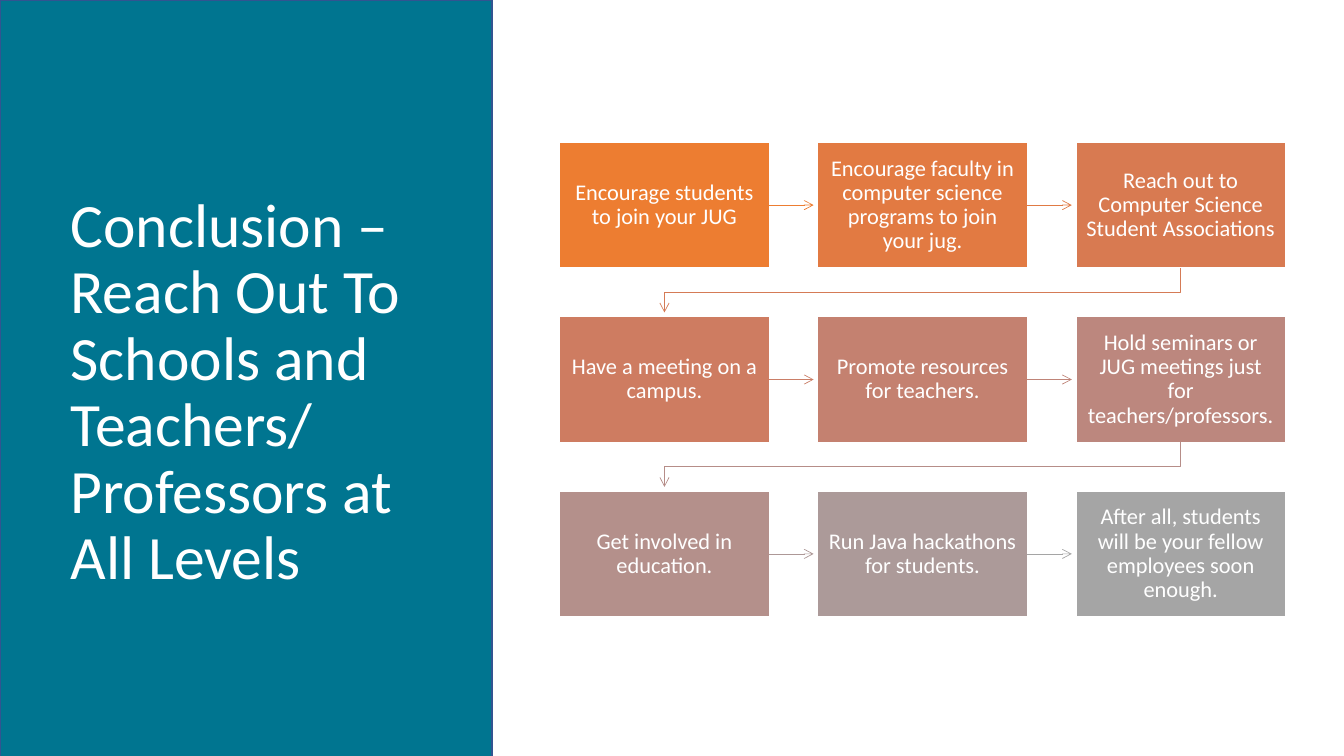
from lxml.etree import SubElement
from pptx import Presentation
from pptx.dml.color import RGBColor
from pptx.enum.shapes import MSO_CONNECTOR as Connector, MSO_SHAPE as Shape
from pptx.enum.text import MSO_ANCHOR as Anchor, MSO_AUTO_SIZE as AutoSize, PP_ALIGN as Align
from pptx.oxml.ns import qn
from pptx.util import Pt

EMU_PER_PX = 9144  # 100 px to the inch


def px(length):
    return length * EMU_PER_PX


def color(hex_string):
    return RGBColor.from_string(hex_string)


def write(frame, text, size, font="Calibri", ink="FFFFFF", align=Align.LEFT, insets=(10, 5)):
    frame.word_wrap = True
    frame.auto_size = AutoSize.NONE
    frame.vertical_anchor = Anchor.MIDDLE
    frame.margin_left = frame.margin_right = px(insets[0])
    frame.margin_top = frame.margin_bottom = px(insets[1])
    paragraph = frame.paragraphs[0]
    paragraph.alignment = align
    paragraph.line_spacing = 0.9
    run = paragraph.add_run()
    run.text = text
    run.font.size = Pt(size)
    run.font.name = font
    run.font.color.rgb = color(ink)


class SlideBuilder:
    arrow_width = Pt(0.5)
    border_width = Pt(1)

    def __init__(self, slide):
        self.slide = slide
        self.shapes = slide.shapes

    def rectangle(self, left, top, width, height, fill, border):
        shape = self.shapes.add_shape(Shape.RECTANGLE, px(left), px(top), px(width), px(height))
        shape.shadow.inherit = False
        shape.fill.solid()
        shape.fill.fore_color.rgb = color(fill)
        shape.line.color.rgb = color(border)
        shape.line.width = self.border_width
        return shape

    def title(self, text, left, top, width, height):
        title = self.shapes.title
        title.left, title.top, title.width, title.height = map(px, (left, top, width, height))
        write(title.text_frame, text, size=44)
        title.element.getparent().append(title.element)  # in front of the panel

    def style_arrow(self, shape, ink):
        shape.line.color.rgb = color(ink)
        shape.line.width = self.arrow_width
        line = shape.element.spPr.find(qn("a:ln"))
        SubElement(line, qn("a:tailEnd"), type="arrow")

    def straight_arrow(self, box, length, ink):
        left, top = box.left + box.width, box.top + box.height // 2
        arrow = self.shapes.add_connector(Connector.STRAIGHT, left, top, left + px(length), top)
        arrow.begin_connect(box, 3)
        self.style_arrow(arrow, ink)
        SubElement(arrow.element.spPr, qn("a:effectLst"))

    def bent_arrow(self, points, ink):
        start, *others = [(px(x), px(y)) for x, y in points]
        builder = self.shapes.build_freeform(*start)
        builder.add_line_segments(others, close=False)
        arrow = builder.convert_to_shape()
        arrow.shadow.inherit = False
        arrow.fill.background()
        self.style_arrow(arrow, ink)


# Step text, box fill, colour of the arrow to the next step
STEPS = [
    ("Encourage students to join your JUG", "ED7D31", "ED7D31"),
    ("Encourage faculty in computer science programs to join your jug.", "E27A42", "E07A44"),
    ("Reach out to Computer Science Student Associations", "D87A51", "D57B56"),
    ("Have a meeting on a campus.", "CE7C61", "CA7E67"),
    ("Promote resources for teachers.", "C48170", "BF8478"),
    ("Hold seminars or JUG meetings just for teachers/professors.", "BC877E", "B68D88"),
    ("Get involved in education.", "B4908B", "AD9897"),
    ("Run Java hackathons for students.", "AC9A99", "A5A5A5"),
    ("After all, students will be your fellow employees soon enough.", "A5A5A5", None),
]
COLUMNS = 3
GRID_LEFT, GRID_TOP = 555, 141
BOX_WIDTH, BOX_HEIGHT = 208, 125
COLUMN_STEP, ROW_STEP = 256, 173
ARROW_LENGTH = 44


def main():
    presentation = Presentation()
    presentation.slide_width, presentation.slide_height = px(1333), px(750)
    builder = SlideBuilder(presentation.slides.add_slide(presentation.slide_layouts[5]))

    # Title panel
    builder.rectangle(0, 0, 488, 763, fill="007590", border="325491")
    builder.title("Conclusion – Reach Out To Schools and Teachers/ Professors at All Levels",
                  60, 103, 368, 575)

    # Steps, row by row, each with an arrow to the next
    first_center = GRID_LEFT + BOX_WIDTH // 2
    last_center = first_center + (COLUMNS - 1) * COLUMN_STEP
    for index, (text, fill, arrow_ink) in enumerate(STEPS):
        row, column = divmod(index, COLUMNS)
        top = GRID_TOP + row * ROW_STEP
        box = builder.rectangle(GRID_LEFT + column * COLUMN_STEP, top,
                                BOX_WIDTH, BOX_HEIGHT, fill, border="FFFFFF")
        write(box.text_frame, text, size=16, align=Align.CENTER, insets=(10, 11))
        if arrow_ink is None:
            continue
        if column < COLUMNS - 1:
            builder.straight_arrow(box, ARROW_LENGTH, arrow_ink)
        else:
            bottom = top + BOX_HEIGHT
            bend = bottom + 24
            builder.bent_arrow([(last_center, bottom), (last_center, bend),
                                (first_center, bend), (first_center, bottom + ARROW_LENGTH)],
                               arrow_ink)

    presentation.save("out.pptx")


if __name__ == "__main__":
    main()
